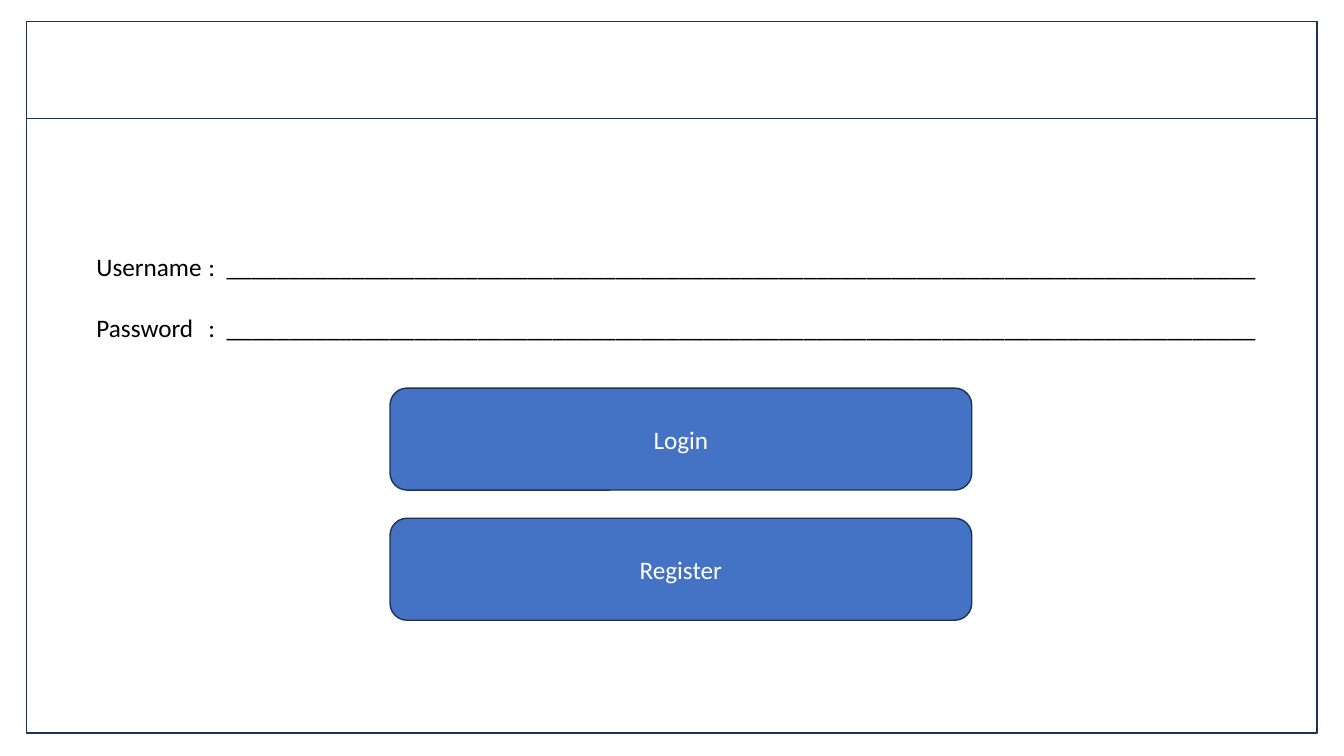
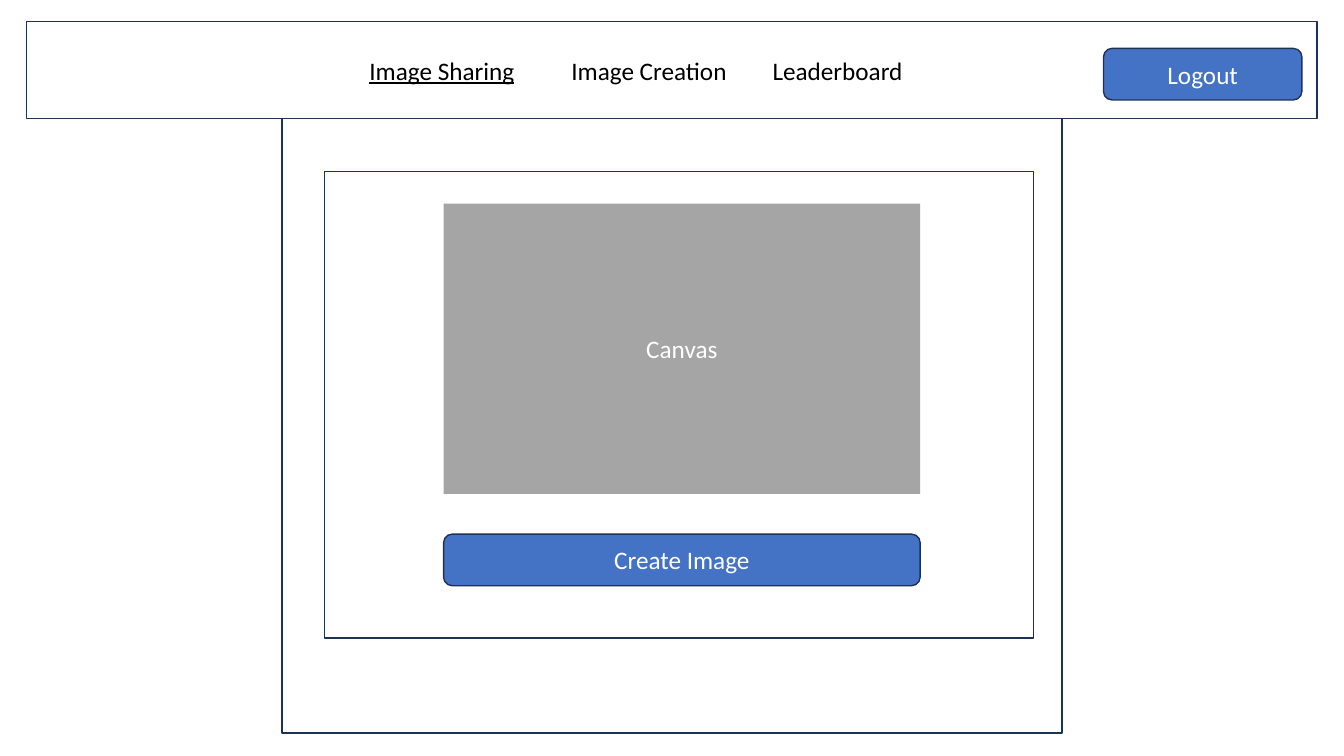
from lxml import etree
from pptx import Presentation
from pptx.dml.color import RGBColor
from pptx.enum.shapes import MSO_SHAPE
from pptx.enum.text import MSO_ANCHOR, PP_ALIGN
from pptx.oxml.ns import qn
from pptx.util import Cm, Pt

RECTANGLE, ROUNDED = MSO_SHAPE.RECTANGLE, MSO_SHAPE.ROUNDED_RECTANGLE
LEFT, CENTER, MIDDLE = PP_ALIGN.LEFT, PP_ALIGN.CENTER, MSO_ANCHOR.MIDDLE

COLORS = {
    "outline": "1E3256",
    "button": "4472C4",
    "canvas": "A5A5A5",
    "light": "FFFFFF",
    "dark": "000000",
}
FONT, TEXT_SIZE = "Calibri", 18
BLANK_LAYOUT = 6
PAGE_LEFT, PAGE_TOP, PAGE_WIDTH, PAGE_HEIGHT = 0.67, 0.55, 32.52, 17.92
HEADER_HEIGHT = 2.44
HEADER_BOTTOM = PAGE_TOP + HEADER_HEIGHT
SMALL_BUTTON = 1.3


def color(name):
    """Return the named palette colour."""
    return RGBColor.from_string(COLORS[name])


def style_runs(paragraph, color_name):
    """Give every run of a paragraph the shared font."""
    for run in paragraph.runs:
        run.font.name = FONT
        run.font.size = Pt(TEXT_SIZE)
        run.font.color.rgb = color(color_name)


def set_tabs(paragraph, stops):
    """Set left tab stops, in centimetres from the text edge."""
    tab_list = etree.SubElement(paragraph._p.get_or_add_pPr(), qn("a:tabLst"))
    for stop in stops:
        etree.SubElement(tab_list, qn("a:tab"), pos=str(Cm(stop)), algn="l")


def add_panel(slide, left, top, width, height, kind=RECTANGLE, fill=None, line="outline"):
    """Add a shape with an optional fill and outline."""
    panel = slide.shapes.add_shape(kind, Cm(left), Cm(top), Cm(width), Cm(height))
    panel.shadow.inherit = False
    if fill:
        panel.fill.solid()
        panel.fill.fore_color.rgb = color(fill)
    else:
        panel.fill.background()
    if line:
        panel.line.color.rgb = color(line)
        panel.line.width = Pt(1)
    else:
        panel.line.fill.background()
    return panel


def add_label(panel, caption):
    """Centre a light caption in a panel."""
    panel.text_frame.text = caption
    panel.text_frame.vertical_anchor = MIDDLE
    paragraph = panel.text_frame.paragraphs[0]
    paragraph.alignment = CENTER
    style_runs(paragraph, "light")


def add_button(slide, caption, left, top, width, height):
    """Add a rounded button with its caption."""
    add_label(add_panel(slide, left, top, width, height, ROUNDED, "button"), caption)


def add_header(slide):
    """Add the empty header band shared by the slides."""
    return add_panel(slide, PAGE_LEFT, PAGE_TOP, PAGE_WIDTH, HEADER_HEIGHT)


def add_navigation(header, active, others):
    """Write the menu in the header with the active entry underlined."""
    frame = header.text_frame
    frame.margin_left = Cm(8.64)
    frame.vertical_anchor = MIDDLE
    menu = frame.paragraphs[0]
    menu.alignment = LEFT
    set_tabs(menu, [5.09, 10.16])
    current = menu.add_run()
    current.text = active
    current.font.underline = True
    rest = menu.add_run()
    rest.text = "".join("\t" + entry for entry in others)
    style_runs(menu, "dark")


def add_fields(slide, names):
    """Add labelled blanks to fill in, one paragraph each."""
    frame = slide.shapes.add_textbox(Cm(2.18), Cm(6.22), Cm(29.97), Cm(2.57)).text_frame
    frame.word_wrap = True
    frame.text = "\n".join(f"{name}\t:\t" + "_" * 82 for name in names)
    for index, field in enumerate(frame.paragraphs):
        set_tabs(field, [2.82, 3.28])
        field.space_before = Pt(22 if index else 0)
        style_runs(field, "dark")


def build_login(slide):
    """Draw the login page."""
    add_panel(slide, PAGE_LEFT, PAGE_TOP, PAGE_WIDTH, PAGE_HEIGHT)
    add_header(slide)
    add_fields(slide, ["Username", "Password"])
    for row, caption in enumerate(["Login", "Register"]):
        add_button(slide, caption, 9.83, 9.78 + row * 3.28, 14.66, 2.57)


def build_sharing(slide):
    """Draw the image sharing page."""
    add_panel(slide, 7.11, HEADER_BOTTOM, 19.66, PAGE_HEIGHT - HEADER_HEIGHT)
    add_navigation(add_header(slide), "Image Sharing", ["Image Creation", "Leaderboard"])
    add_button(slide, "Logout", 27.81, 1.22, 5, SMALL_BUTTON)
    add_panel(slide, 8.18, 4.32, 17.86, 11.76)
    content_left, content_width = 11.18, 12.01
    add_button(slide, "Create Image", content_left, 13.46, content_width, SMALL_BUTTON)
    canvas = add_panel(slide, content_left, 5.13, content_width, 7.32, fill="canvas", line=None)
    add_label(canvas, "Canvas")


def main():
    """Build and save the presentation."""
    deck = Presentation()
    deck.slide_width, deck.slide_height = Cm(33.87), Cm(19.05)
    for build in (build_login, build_sharing):
        build(deck.slides.add_slide(deck.slide_layouts[BLANK_LAYOUT]))
    deck.save("out.pptx")


if __name__ == "__main__":
    main()
